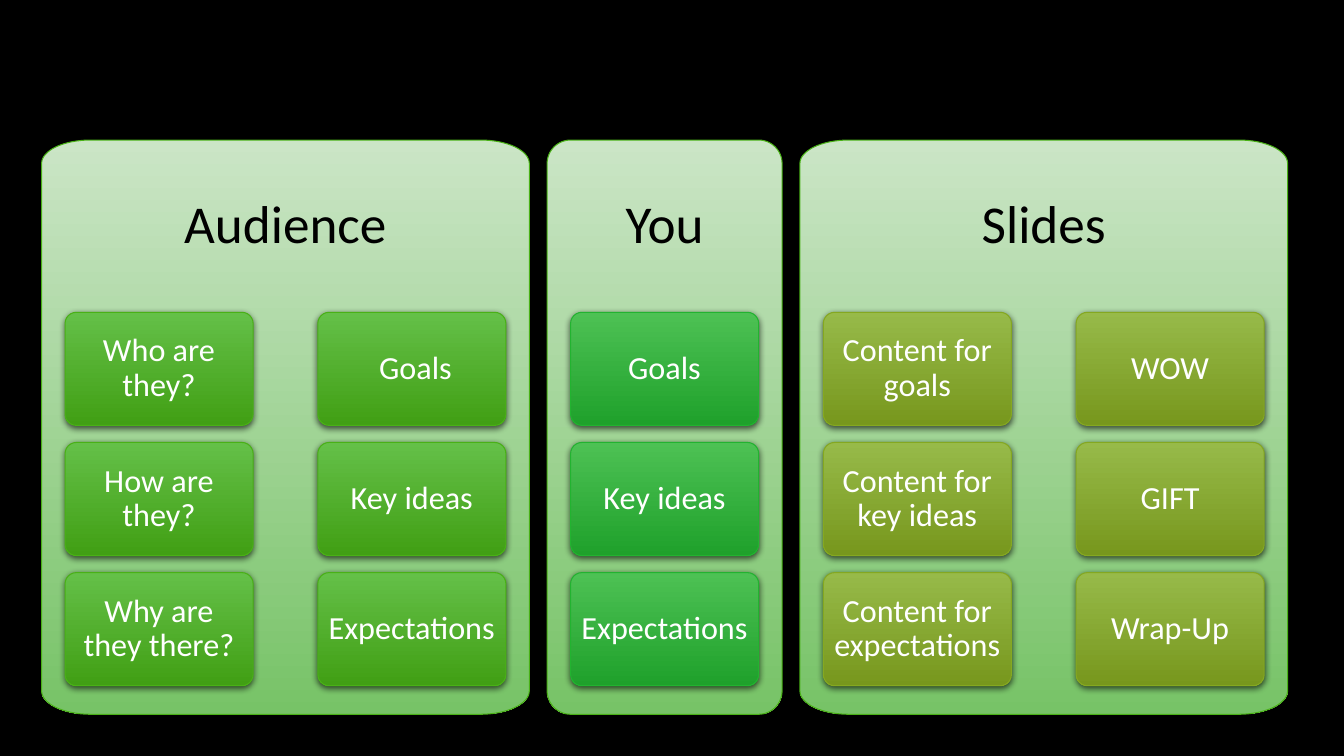
import math

from lxml import etree
from pptx import Presentation
from pptx.dml.color import RGBColor
from pptx.enum.shapes import MSO_SHAPE
from pptx.enum.text import MSO_ANCHOR, PP_ALIGN
from pptx.oxml.ns import qn
from pptx.util import Cm, Pt

ROUNDED = MSO_SHAPE.ROUNDED_RECTANGLE
MIDDLE = MSO_ANCHOR.MIDDLE
CENTER = PP_ALIGN.CENTER
BLANK_LAYOUT = 6

FONT = "Calibri"
COLORS = {
    "background": "000000",
    "heading": "000000",
    "card_text": "FFFFFF",
    "shadow": "000000",
}
# Gradient top, gradient bottom, outline
TONES = {
    "panel": ("CBE5C6", "77C367", "49B116"),
    "leaf": ("64C048", "419F14", "49B116"),
    "emerald": ("4DC154", "1FA12B", "22B330"),
    "olive": ("97BA49", "77971D", "85A820"),
}

# Lengths in centimetres
FIRST_CARD_LEFT, FIRST_CARD_TOP = 1.64, 7.87
COLUMN_STEP, ROW_STEP = 6.37, 3.28
CARD_WIDTH, CARD_HEIGHT = 4.74, 2.85
PANEL_TOP, PANEL_HEIGHT, PANEL_MARGIN = 3.53, 14.47, 0.59
CORNER_HEIGHT = 0.59
CORNER_STEPS = 16

GROUPS = [
    ("Audience", "leaf", [
        ["Who are they?", "How are they?", "Why are they there?"],
        [" Goals", "Key ideas", "Expectations"],
    ]),
    ("You", "emerald", [["Goals", "Key ideas", "Expectations"]]),
    ("Slides", "olive", [
        ["Content for goals", "Content for key ideas", "Content for expectations"],
        ["WOW", "GIFT", "Wrap-Up"],
    ]),
]


def rgb(name):
    return RGBColor.from_string(COLORS[name])


class PlanSlide:
    def __init__(self, page):
        self.page = page
        page.background.fill.solid()
        page.background.fill.fore_color.rgb = rgb("background")

    def paint(self, shape, tone):
        top, bottom, outline = TONES[tone]
        shape.shadow.inherit = False
        shape.fill.gradient()
        shape.fill.gradient_angle = 270
        for stop, color in zip(shape.fill.gradient_stops, (top, bottom)):
            stop.color.rgb = RGBColor.from_string(color)
        shape.line.color.rgb = RGBColor.from_string(outline)
        shape.line.width = Pt(0.75)

    def label(self, shape, text, size, color, insets):
        """Centre text in the shape; insets are left, top, right, bottom in cm."""
        frame = shape.text_frame
        frame.text = text
        frame.word_wrap = True
        frame.vertical_anchor = MIDDLE
        (frame.margin_left, frame.margin_top,
         frame.margin_right, frame.margin_bottom) = map(Cm, insets)
        para = frame.paragraphs[0]
        para.alignment = CENTER
        para.line_spacing = 0.9
        span = para.runs[0]
        span.font.name = FONT
        span.font.size = Pt(size)
        span.font.color.rgb = rgb(color)

    def add_shadow(self, shape):
        effects = shape._element.spPr.find(qn("a:effectLst"))
        shadow = etree.SubElement(
            effects, qn("a:outerShdw"), blurRad=str(Pt(4.5)), dist=str(Pt(1.5)),
            dir="5400000", algn="ctr", rotWithShape="0")
        color = etree.SubElement(shadow, qn("a:srgbClr"), val=COLORS["shadow"])
        etree.SubElement(color, qn("a:alpha"), val="63000")

    def panel(self, left, width, heading):
        """Draw a panel whose elliptical corners widen with the panel."""
        corner_width = width / 10
        middle_x, middle_y = left + width / 2, PANEL_TOP + PANEL_HEIGHT / 2
        reach_x = width / 2 - corner_width
        reach_y = PANEL_HEIGHT / 2 - CORNER_HEIGHT
        points = []
        for quarter, (side_x, side_y) in enumerate([(1, 1), (-1, 1), (-1, -1), (1, -1)]):
            for step in range(CORNER_STEPS + 1):
                angle = (quarter + step / CORNER_STEPS) * math.pi / 2
                x = middle_x + side_x * reach_x + corner_width * math.cos(angle)
                y = middle_y + side_y * reach_y + CORNER_HEIGHT * math.sin(angle)
                points.append((Cm(x), Cm(y)))
        outline = self.page.shapes.build_freeform(*points[0])
        outline.add_line_segments(points[1:], close=True)
        shape = outline.convert_to_shape()
        self.paint(shape, "panel")
        self.label(shape, heading, 38, "heading", (0.41, 0.41, 0.41, 10.54))

    def card(self, left, top, text, tone):
        shape = self.page.shapes.add_shape(
            ROUNDED, Cm(left), Cm(top), Cm(CARD_WIDTH), Cm(CARD_HEIGHT))
        shape.adjustments[0] = 0.1
        self.paint(shape, tone)
        self.add_shadow(shape)
        self.label(shape, text, 23, "card_text", (0.16, 0.11, 0.16, 0.11))


def main():
    deck = Presentation()
    deck.slide_width, deck.slide_height = Cm(33.87), Cm(19.05)
    plan = PlanSlide(deck.slides.add_slide(deck.slide_layouts[BLANK_LAYOUT]))

    left = FIRST_CARD_LEFT
    for heading, tone, columns in GROUPS:
        width = (len(columns) - 1) * COLUMN_STEP + CARD_WIDTH + 2 * PANEL_MARGIN
        plan.panel(left - PANEL_MARGIN, width, heading)
        for column in columns:
            for row, text in enumerate(column):
                plan.card(left, FIRST_CARD_TOP + row * ROW_STEP, text, tone)
            left += COLUMN_STEP

    deck.save("out.pptx")


if __name__ == "__main__":
    main()
